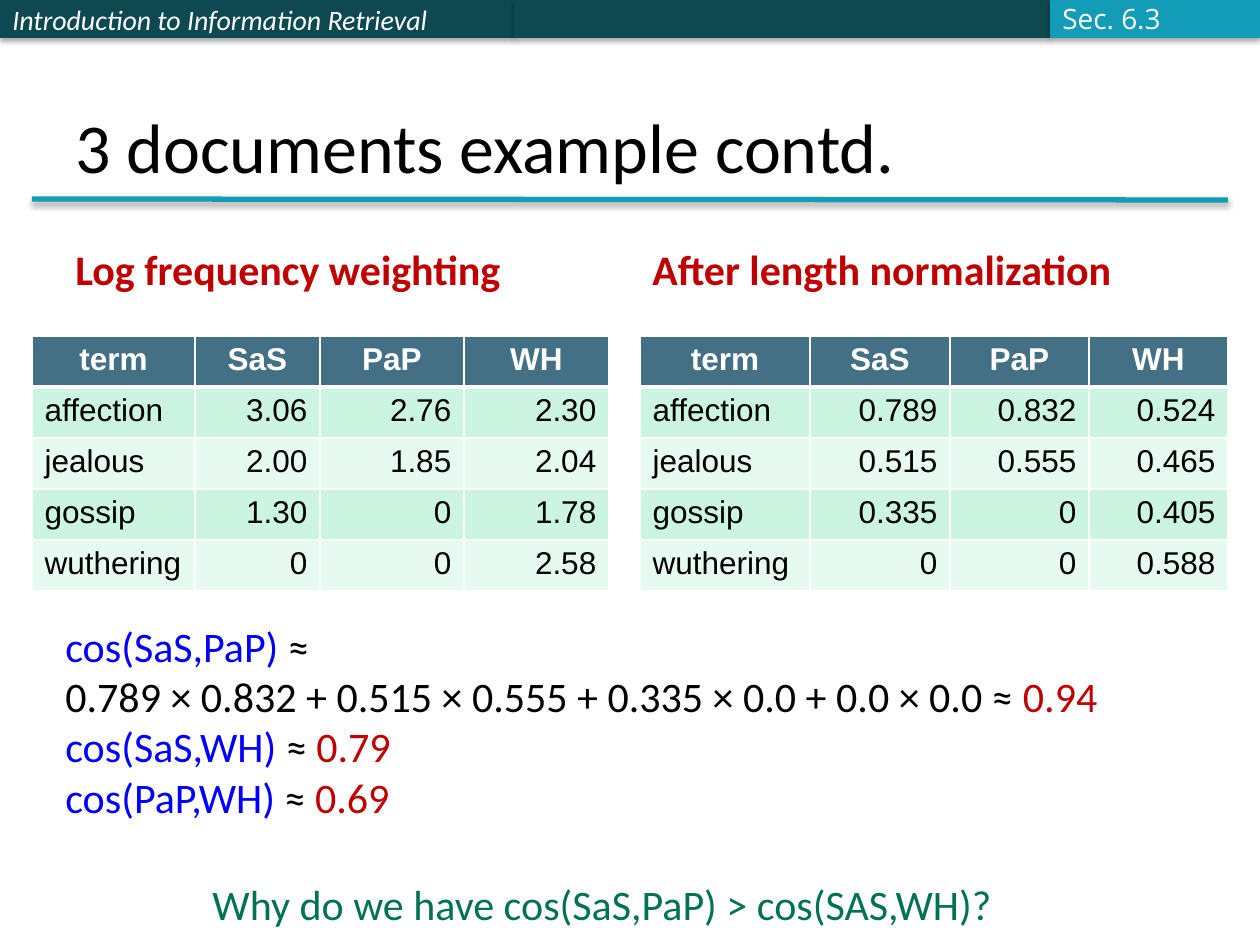
from lxml import etree
from pptx import Presentation
from pptx import util as u
from pptx.dml.color import RGBColor
from pptx.enum import shapes, text
from pptx.oxml import ns

SCALE = u.Inches(1) / 126
COLORS = {
    "dark": "0E4851", "teal": "139CB7", "white": "FFFFFF", "pale": "FBFCFF",
    "black": "000000", "red": "C00000", "blue": "0000FF", "green": "007254",
    "header": "437085", "odd": "CBF5E1", "even": "E7FAF1",
}
ALIGN, ANCHOR = text.PP_ALIGN, text.MSO_ANCHOR
LOG_ROWS = [
    ("term", "SaS", "PaP", "WH"),
    ("affection", "3.06", "2.76", "2.30"),
    ("jealous", "2.00", "1.85", "2.04"),
    ("gossip", "1.30", "0", "1.78"),
    ("wuthering", "0", "0", "2.58"),
]
NORMALIZED_ROWS = [
    ("term", "SaS", "PaP", "WH"),
    ("affection", "0.789", "0.832", "0.524"),
    ("jealous", "0.515", "0.555", "0.465"),
    ("gossip", "0.335", "0", "0.405"),
    ("wuthering", "0", "0", "0.588"),
]
COSINES = [
    [("cos(SaS,PaP) ", "blue"), ("≈", "black")],
    [("0.789 × 0.832 + 0.515 × 0.555 + 0.335 × 0.0 + 0.0 × 0.0 ≈ ", "black"), ("0.94", "red")],
    [("cos(SaS,WH)", "blue"), (" ≈ ", "black"), ("0.79", "red")],
    [("cos(PaP,WH) ", "blue"), ("≈ ", "black"), ("0.69", "red")],
]


def px(*lengths):
    """Turn picture pixels into EMU."""
    return [u.Emu(round(length * SCALE)) for length in lengths]


def color(name):
    """Look up a named colour."""
    return RGBColor.from_string(COLORS[name])


def write(frame, paragraphs, size=24, font="Calibri", bold=False, italic=False,
          align=ALIGN.LEFT, anchor=ANCHOR.TOP, wrap=True):
    """Fill a text frame with paragraphs of (wording, colour) runs."""
    frame.word_wrap = wrap
    frame.vertical_anchor = anchor
    for index, runs in enumerate(paragraphs):
        paragraph = frame.add_paragraph() if index else frame.paragraphs[0]
        paragraph.alignment = align
        for wording, name in runs:
            run = paragraph.add_run()
            run.text = wording
            run.font.size = u.Pt(size)
            run.font.name = font
            run.font.bold = bold
            run.font.italic = italic
            run.font.color.rgb = color(name)


def add_text(slide, box, paragraphs, **formatting):
    """Add a text box."""
    write(slide.shapes.add_textbox(*px(*box)).text_frame, paragraphs, **formatting)


def add_shadow(shape, alpha):
    """Give a shape a soft shadow straight below it."""
    properties = shape._element.spPr
    effects = properties.find(ns.qn("a:effectLst"))
    if effects is None:
        effects = etree.SubElement(properties, ns.qn("a:effectLst"))
    shadow = etree.SubElement(effects, ns.qn("a:outerShdw"), blurRad=str(u.Pt(3.1)),
                              dist=str(u.Pt(1.7)), dir="5400000", rotWithShape="0")
    tone = etree.SubElement(shadow, ns.qn("a:srgbClr"), val=COLORS["black"])
    etree.SubElement(tone, ns.qn("a:alpha"), val=str(alpha * 1000))


def add_banner(slide, left, top, width, height):
    """Draw the running header with course name and section."""
    course, middle, section = 514, 536, width - 1050
    bars = []
    for bar_width, name in ((course, "dark"), (middle, "dark"), (section, "teal")):
        bar = slide.shapes.add_shape(shapes.MSO_SHAPE.RECTANGLE,
                                     *px(left, top, bar_width, height))
        bar.fill.solid()
        bar.fill.fore_color.rgb = color(name)
        bar.line.fill.background()
        bar.shadow.inherit = False
        add_shadow(bar, 35)
        bars.append(bar)
        left += bar_width
    write(bars[0].text_frame, [[("Introduction to Information Retrieval", "white")]],
          size=16, italic=True, anchor=ANCHOR.MIDDLE)
    add_text(slide, (left - section, top - 5, 134, 47), [[("Sec. 6.3", "pale")]],
             size=16, font="Open Sans", anchor=ANCHOR.MIDDLE, wrap=False)


def add_title(slide, left, top, width, height):
    """Place the title above its rule."""
    add_text(slide, (left + 31, top, width - 62, height - 5),
             [[("3 documents example contd.", "black")]], size=40, anchor=ANCHOR.BOTTOM)
    rule = slide.shapes.add_connector(
        shapes.MSO_CONNECTOR.STRAIGHT,
        *px(left, top + height, left + width, top + height + 1))
    rule.line.color.rgb = color("teal")
    rule.line.width = u.Pt(3)
    add_shadow(rule, 38)


def add_border(cell, side, width):
    """Draw one white cell border."""
    line = etree.SubElement(cell._tc.get_or_add_tcPr(), ns.qn("a:ln" + side),
                            w=str(u.Pt(width)))
    fill = etree.SubElement(line, ns.qn("a:solidFill"))
    etree.SubElement(fill, ns.qn("a:srgbClr"), val=COLORS["white"])


def add_weights(slide, left, top, heading, heading_left, widths, rows):
    """Place a heading over a banded table of term weights."""
    row_height = 51
    add_text(slide, (heading_left, top, 557, 88), [[(heading, "red")]],
             bold=True, anchor=ANCHOR.BOTTOM)
    box = px(left, top + 124, sum(widths), row_height * len(rows))
    table = slide.shapes.add_table(len(rows), len(widths), *box).table
    for column, width in zip(table.columns, px(*widths)):
        column.width = width
    for row_index, row in enumerate(rows):
        table.rows[row_index].height = px(row_height)[0]
        header = row_index == 0
        band = "header" if header else ("even", "odd")[row_index % 2]
        for column_index, wording in enumerate(row):
            cell = table.cell(row_index, column_index)
            for side, width in (("L", 1), ("R", 1), ("T", 3 if row_index == 1 else 1),
                                ("B", 3 if header else 1)):
                add_border(cell, side, width)
            cell.fill.solid()
            cell.fill.fore_color.rgb = color(band)
            align = ALIGN.CENTER if header else ALIGN.RIGHT if column_index else ALIGN.LEFT
            write(cell.text_frame, [[(wording, "white" if header else "black")]],
                  size=18, font="Arial", bold=header, align=align)


def add_conclusion(slide, left, top, width, height):
    """List the cosine values and the closing question."""
    add_text(slide, (left, top, width, 217), COSINES)
    add_text(slide, (left + 147, top + height - 63, 811, 63),
             [[("Why do we have cos(SaS,PaP) > cos(SAS,WH)?", "green")]], wrap=False)


def main():
    """Build and save the slide."""
    presentation = Presentation()
    presentation.slide_width, presentation.slide_height = px(1260, 945)
    slide = presentation.slides.add_slide(presentation.slide_layouts[6])
    add_banner(slide, 0, 0, 1260, 38)
    add_title(slide, 32, 38, 1196, 161)
    add_weights(slide, 32, 212, "Log frequency weighting", 63,
                (163, 125, 144, 145), LOG_ROWS)
    add_weights(slide, 640, 212, "After length normalization", 640,
                (170, 140, 139, 139), NORMALIZED_ROWS)
    add_conclusion(slide, 53, 614, 1092, 321)
    presentation.save("out.pptx")


main()
